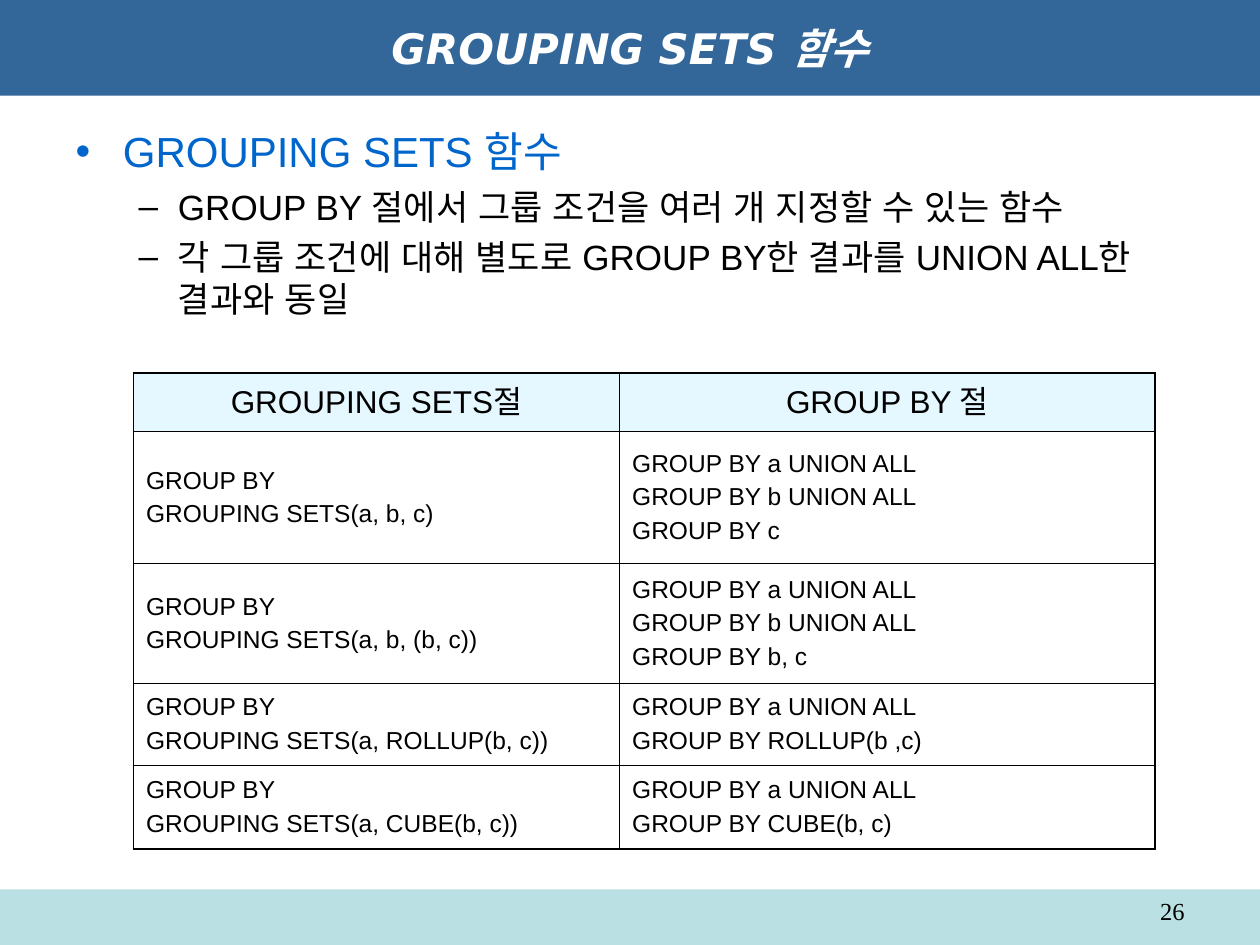
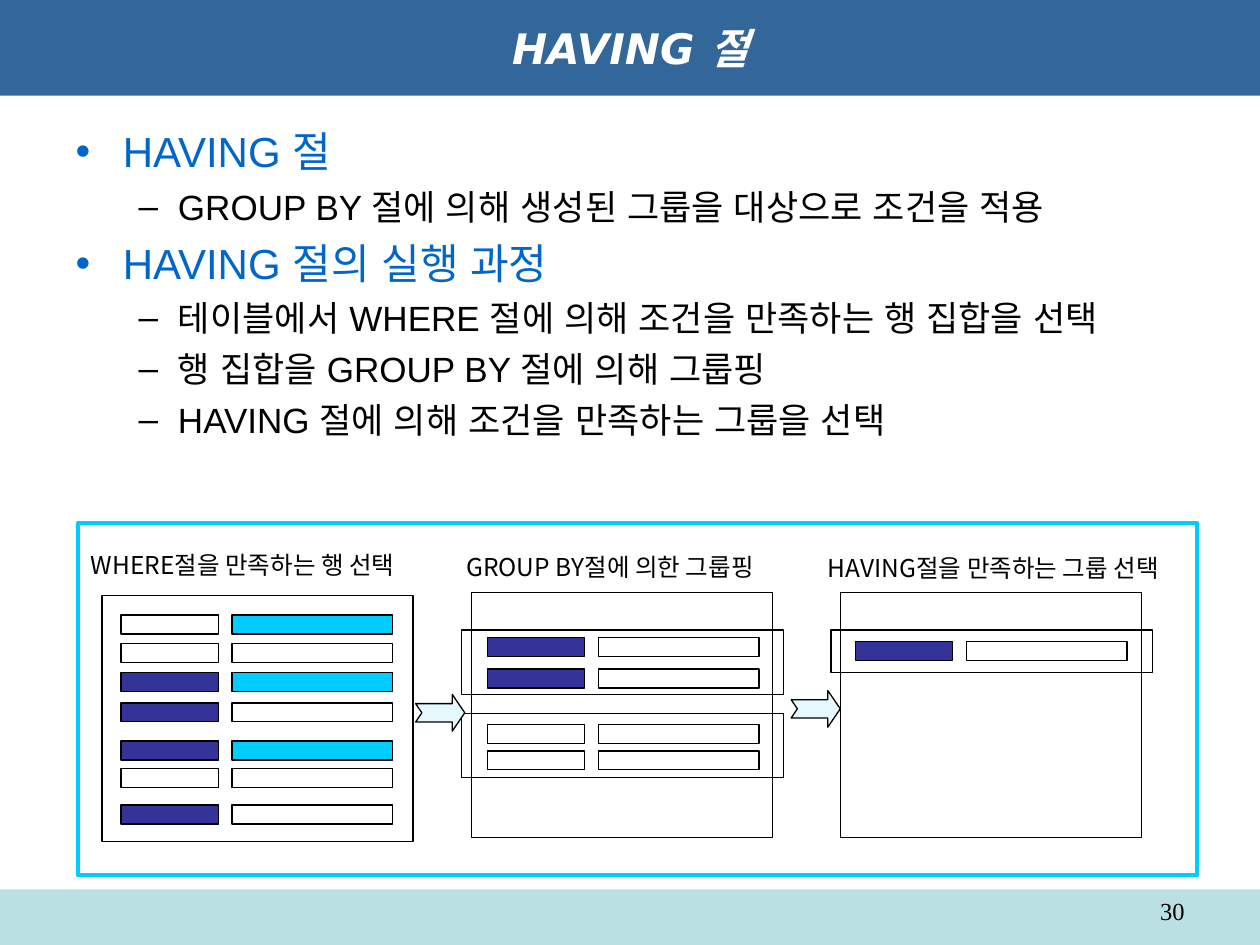
"""Build two lecture slides on GROUPING SETS and the HAVING clause."""
from dataclasses import dataclass

from lxml import etree
from pptx import Presentation, util as u
from pptx.dml.color import RGBColor
from pptx.enum import shapes, text
from pptx.oxml.ns import qn


@dataclass(frozen=True)
class Theme:
    black: str = "000000"
    white: str = "FFFFFF"
    head: str = "336699"
    foot: str = "BBE0E3"
    lead: str = "0066CC"
    pale: str = "E5F7FF"
    navy: str = "333399"
    cyan: str = "00CCFF"
    big: int = 24
    mid: int = 20
    sub: int = 18
    small: int = 14
    sans: str = "Arial"
    title: str = "DejaVu Sans"
    hangul: str = "Noto Sans CJK KR"
    serif: str = "Times New Roman"
    thin: float = 0.45
    thick: float = 1.08
    line: float = 0.75
    border: float = 2.25


T = Theme()
WIDE, HIGH = 25.4, 19.05

SETS = {
    "title": "GROUPING SETS 함수",
    "page": "26",
    "points": [
        (0, "GROUPING SETS 함수"),
        (1, "GROUP BY 절에서 그룹 조건을 여러 개 지정할 수 있는 함수"),
        (1, "각 그룹 조건에 대해 별도로 GROUP BY한 결과를 UNION ALL한 결과와 동일"),
    ],
}
HAVING = {
    "title": "HAVING 절",
    "page": "30",
    "points": [
        (0, "HAVING 절"),
        (1, "GROUP BY 절에 의해 생성된 그룹을 대상으로 조건을 적용"),
        (0, "HAVING 절의 실행 과정"),
        (1, "테이블에서 WHERE 절에 의해 조건을 만족하는 행 집합을 선택"),
        (1, "행 집합을 GROUP BY 절에 의해 그룹핑"),
        (1, "HAVING 절에 의해 조건을 만족하는 그룹을 선택"),
    ],
}

COLS = [9.8, 10.8]
ROWS = [
    (1.17, ["GROUPING SETS절"], ["GROUP BY 절"]),
    (2.67, ["GROUP BY", "GROUPING SETS(a, b, c)"],
     ["GROUP BY a UNION ALL", "GROUP BY b UNION ALL", "GROUP BY c"]),
    (2.41, ["GROUP BY", "GROUPING SETS(a, b, (b, c))"],
     ["GROUP BY a UNION ALL", "GROUP BY b UNION ALL", "GROUP BY b, c"]),
    (1.65, ["GROUP BY", "GROUPING SETS(a, ROLLUP(b, c))"],
     ["GROUP BY a UNION ALL", "GROUP BY ROLLUP(b ,c)"]),
    (1.7, ["GROUP BY", "GROUPING SETS(a, CUBE(b, c))"],
     ["GROUP BY a UNION ALL", "GROUP BY CUBE(b, c)"]),
]

W, N, C = T.white, T.navy, T.cyan
STEPS = [
    {"label": " WHERE절을 만족하는 행 선택", "at": (1.47, 10.97, 7.65),
     "panel": (2.06, 12.01, 6.27), "inset": 0.38, "frames": [],
     "bars": [(12.4, W, C), (12.98, W, W), (13.56, N, C), (14.17, N, W),
              (14.94, N, C), (15.49, W, W), (16.23, N, W)]},
    {"label": " GROUP BY절에 의한 그룹핑", "at": (9.04, 11, 7.65),
     "panel": (9.5, 11.94, 6.07), "inset": 0.33, "frames": [(12.7, 1.3), (14.38, 1.3)],
     "bars": [(12.85, N, W), (13.49, N, W), (14.61, W, W), (15.14, W, W)]},
    {"label": " HAVING절을 만족하는 그룹 선택", "at": (16.33, 11.02, 7.95),
     "panel": (16.94, 11.94, 6.07), "inset": 0.31, "frames": [(12.7, 0.86)],
     "bars": [(12.93, N, W)]},
]
ARROWS = [(8.38, 14), (15.95, 13.92)]


def cm(*sizes):
    return [u.Cm(size) for size in sizes]


def rgb(code):
    return RGBColor.from_string(code)


def write(par, words, size=T.small, font=T.sans, color=T.black,
          bold=False, slant=False, align=None, before=0, level=0):
    par.level = level
    par.alignment = align
    par.space_before = u.Pt(before)
    run = par.add_run()
    run.text = words
    face = run.font
    face.size, face.name = u.Pt(size), font
    face.bold, face.italic = bold, slant
    face.color.rgb = rgb(color)
    etree.SubElement(run._r.get_or_add_rPr(), qn("a:ea"), typeface=font)


def lines(frame, items, **form):
    for i, words in enumerate(items):
        par = frame.add_paragraph() if i else frame.paragraphs[0]
        write(par, words, **form)


def draw(slide, box, fill=None, line=None, width=T.line, kind=shapes.MSO_SHAPE.RECTANGLE):
    form = slide.shapes.add_shape(kind, *cm(*box))
    form.shadow.inherit = False
    if fill:
        form.fill.solid()
        form.fill.fore_color.rgb = rgb(fill)
    else:
        form.fill.background()
    if line:
        form.line.color.rgb = rgb(line)
        form.line.width = u.Pt(width)
    else:
        form.line.fill.background()
    return form


def label(slide, box, words, **form):
    frame = slide.shapes.add_textbox(*cm(*box)).text_frame
    frame.word_wrap = True
    write(frame.paragraphs[0], words, **form)


def place(holder, box, anchor):
    holder.left, holder.top, holder.width, holder.height = cm(*box)
    frame = holder.text_frame
    frame.auto_size = text.MSO_AUTO_SIZE.NONE
    frame.vertical_anchor = anchor
    return frame


def start(deck, data):
    slide = deck.slides.add_slide(deck.slide_layouts[1])
    title, body = slide.placeholders
    title.fill.solid()
    title.fill.fore_color.rgb = rgb(T.head)
    frame = place(title, (0, 0, WIDE, 1.93), text.MSO_ANCHOR.MIDDLE)
    write(frame.paragraphs[0], data["title"], size=T.big, font=T.title, color=T.white,
          bold=True, slant=True, align=text.PP_ALIGN.CENTER)
    frame = place(body, (1.27, 2.41, 22.86, 15.11), text.MSO_ANCHOR.TOP)
    looks = [dict(size=T.big, color=T.lead, before=6), dict(size=T.mid, before=5)]
    for i, (level, words) in enumerate(data["points"]):
        par = frame.add_paragraph() if i else frame.paragraphs[0]
        write(par, words, level=level, **looks[level])
    label(slide, (18.21, 17.93, 5.92, 0.74), data["page"], font=T.serif,
          align=text.PP_ALIGN.RIGHT)
    return slide


def edge(cell, outer):
    props = cell._tc.get_or_add_tcPr()
    for i, (side, out) in enumerate(zip("LRTB", outer)):
        width = u.Pt(T.thick if out else T.thin)
        line = etree.Element(qn(f"a:ln{side}"), w=str(int(width)))
        fill = etree.SubElement(line, qn("a:solidFill"))
        etree.SubElement(fill, qn("a:srgbClr"), val=T.black)
        props.insert(i, line)


def grid(slide):
    tall = sum(row[0] for row in ROWS)
    box = cm(2.69, 7.52, sum(COLS), tall)
    table = slide.shapes.add_table(len(ROWS), len(COLS), *box).table
    table.first_row = table.horz_banding = False
    for col, wide in zip(table.columns, COLS):
        col.width = u.Cm(wide)
    for r, (high, *cells) in enumerate(ROWS):
        table.rows[r].height = u.Cm(high)
        for c, items in enumerate(cells):
            cell = table.cell(r, c)
            cell.vertical_anchor = text.MSO_ANCHOR.MIDDLE
            if r == 0:
                cell.fill.solid()
                cell.fill.fore_color.rgb = rgb(T.pale)
                look = dict(size=T.sub, before=4.5, align=text.PP_ALIGN.CENTER)
            else:
                cell.fill.background()
                look = dict(before=3.5)
            lines(cell.text_frame, items, **look)
            edge(cell, (c == 0, c == len(COLS) - 1, r == 0, r == len(ROWS) - 1))


def flow(slide):
    for step in STEPS:
        left, top, wide = step["panel"]
        draw(slide, (left, top, wide, 4.95), W, T.black)
        x = left + step["inset"]
        for y, key, value in step["bars"]:
            draw(slide, (x, y, 1.96, 0.38), key, T.black)
            draw(slide, (x + 2.24, y, 3.23, 0.38), value, T.black)
        for y, high in step["frames"]:
            draw(slide, (left - 0.19, y, 6.48, high), line=T.black)
        label(slide, (*step["at"], 0.86), step["label"], font=T.hangul)
    for x, y in ARROWS:
        arrow = draw(slide, (x, y, 0.99, 0.74), T.pale, T.black,
                     kind=shapes.MSO_SHAPE.NOTCHED_RIGHT_ARROW)
        arrow.adjustments[1] = 0.34
    draw(slide, (1.57, 10.54, 22.56, 7.11), line=C, width=T.border)


def main():
    deck = Presentation()
    deck.slide_width, deck.slide_height = cm(WIDE, HIGH)
    first = start(deck, SETS)
    band = draw(first, (0, 17.93, WIDE, 1.12), T.foot)
    deck.slide_layouts[1].shapes.element.insert(2, band.element)
    grid(first)
    flow(start(deck, HAVING))
    deck.save("out.pptx")


if __name__ == "__main__":
    main()
